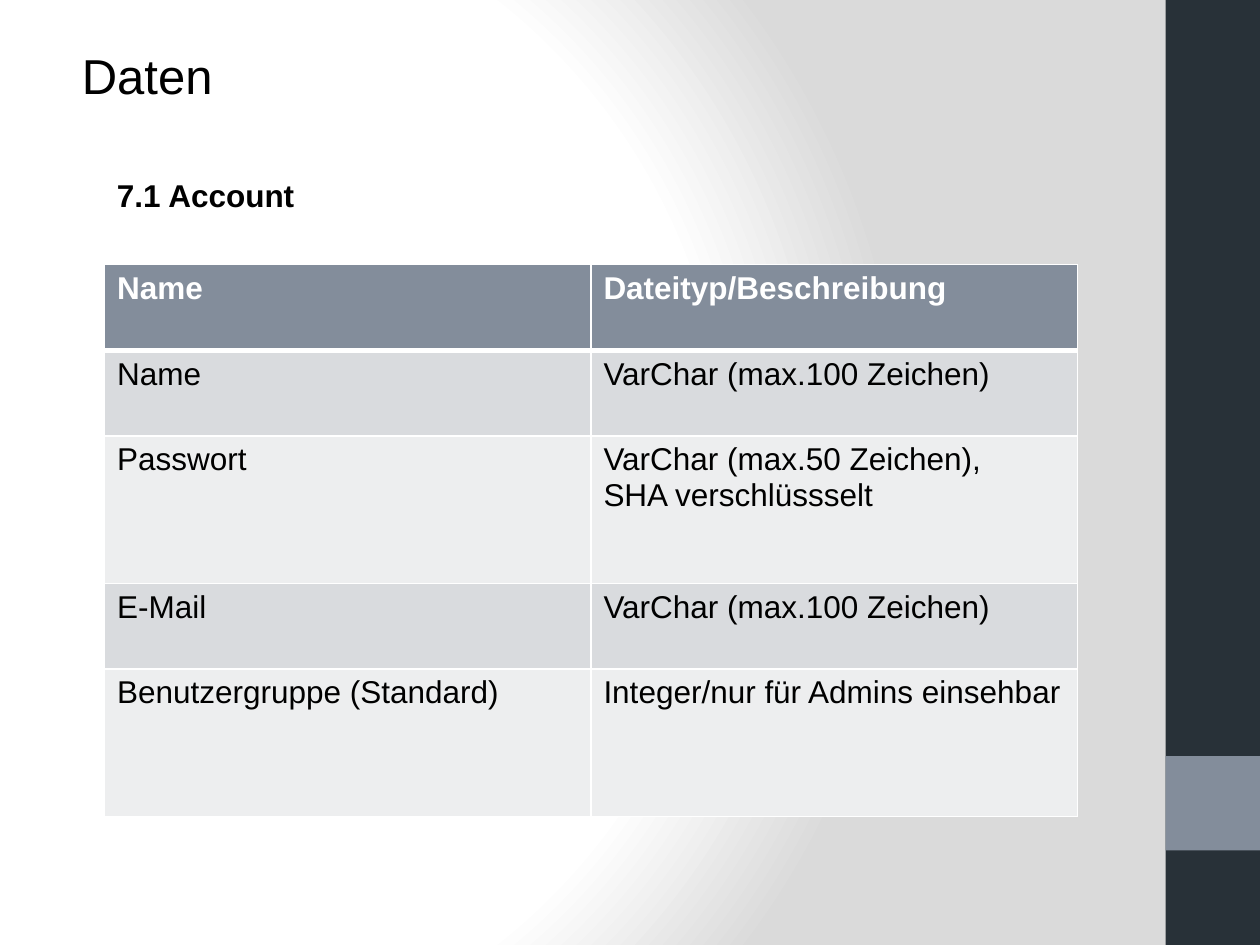
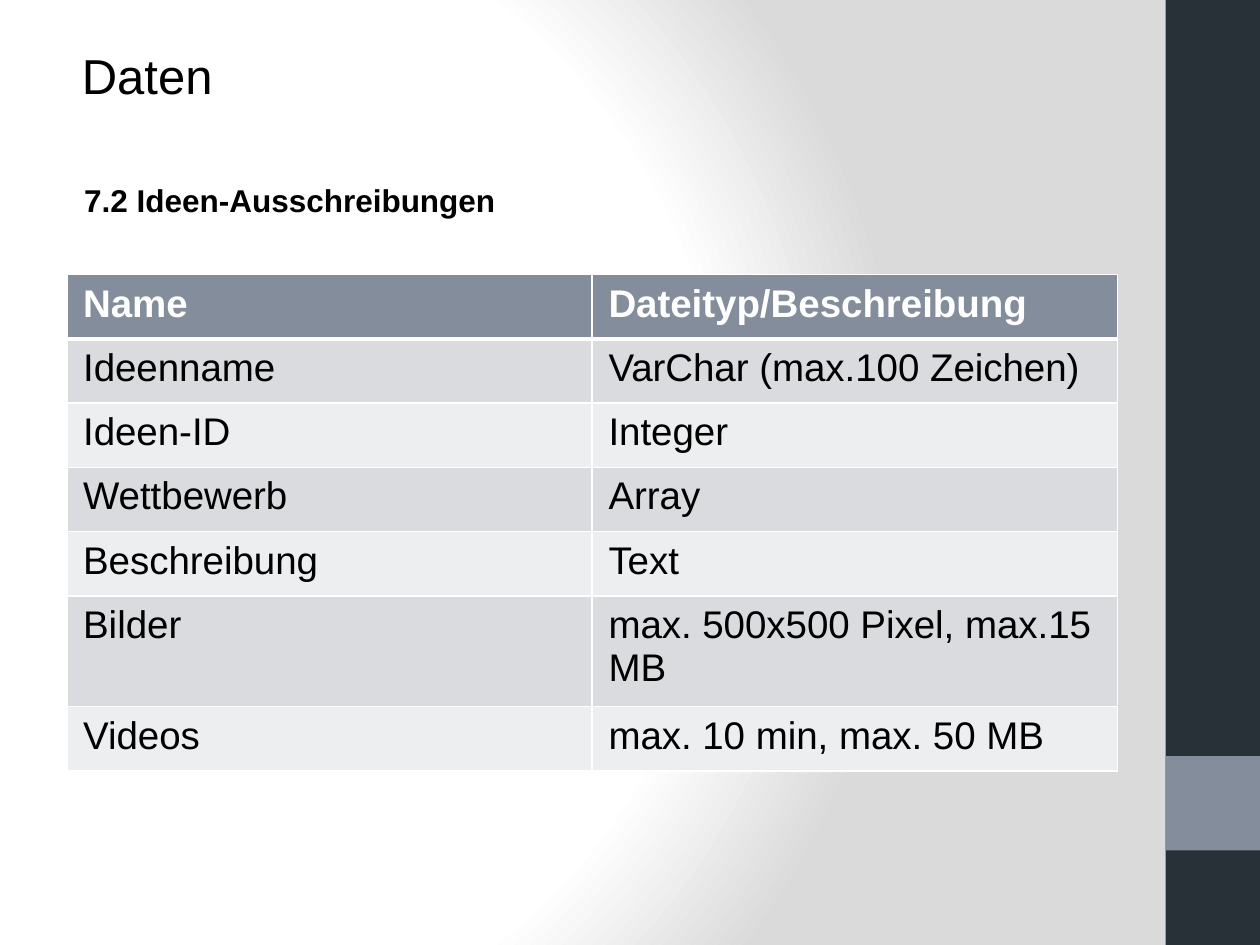
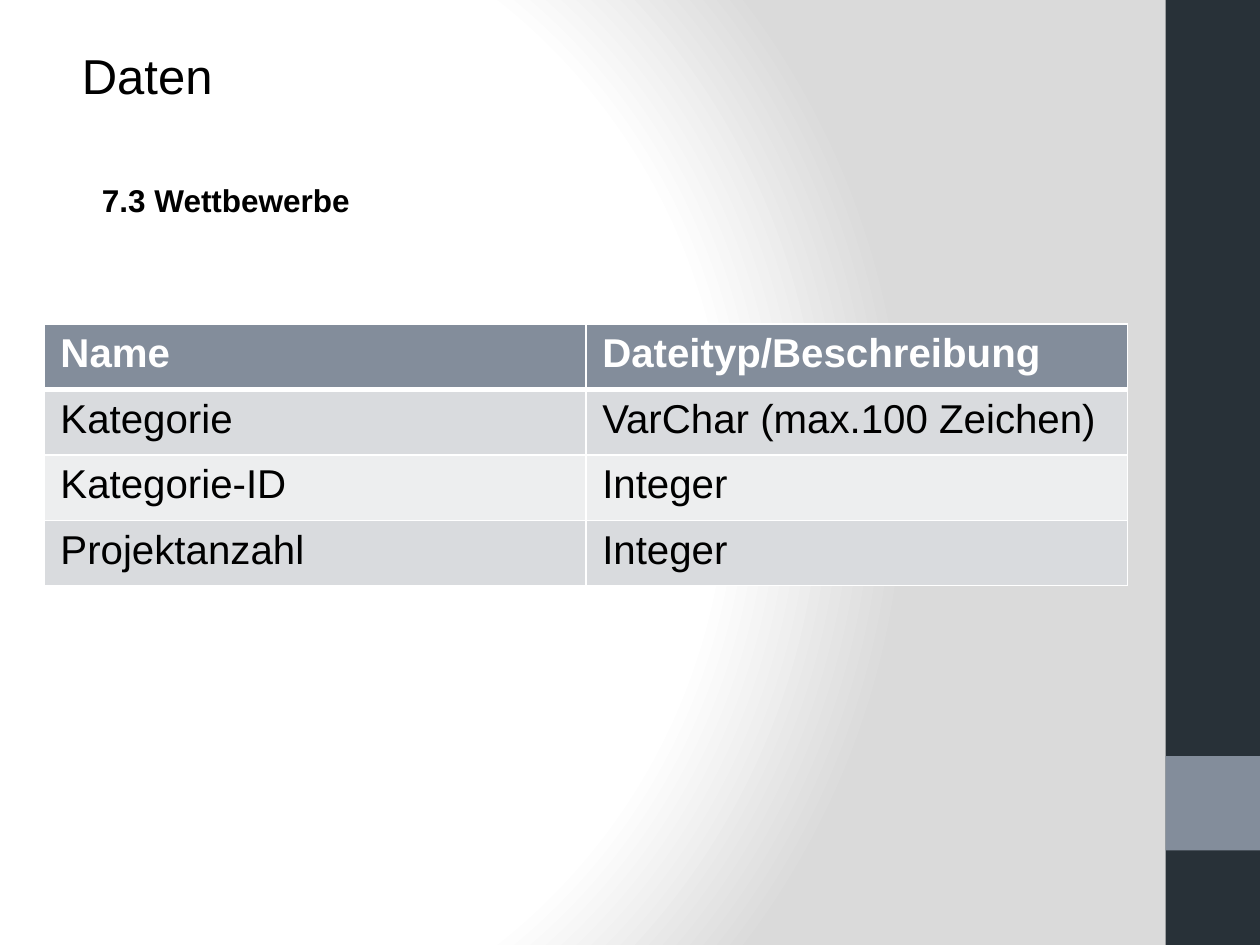
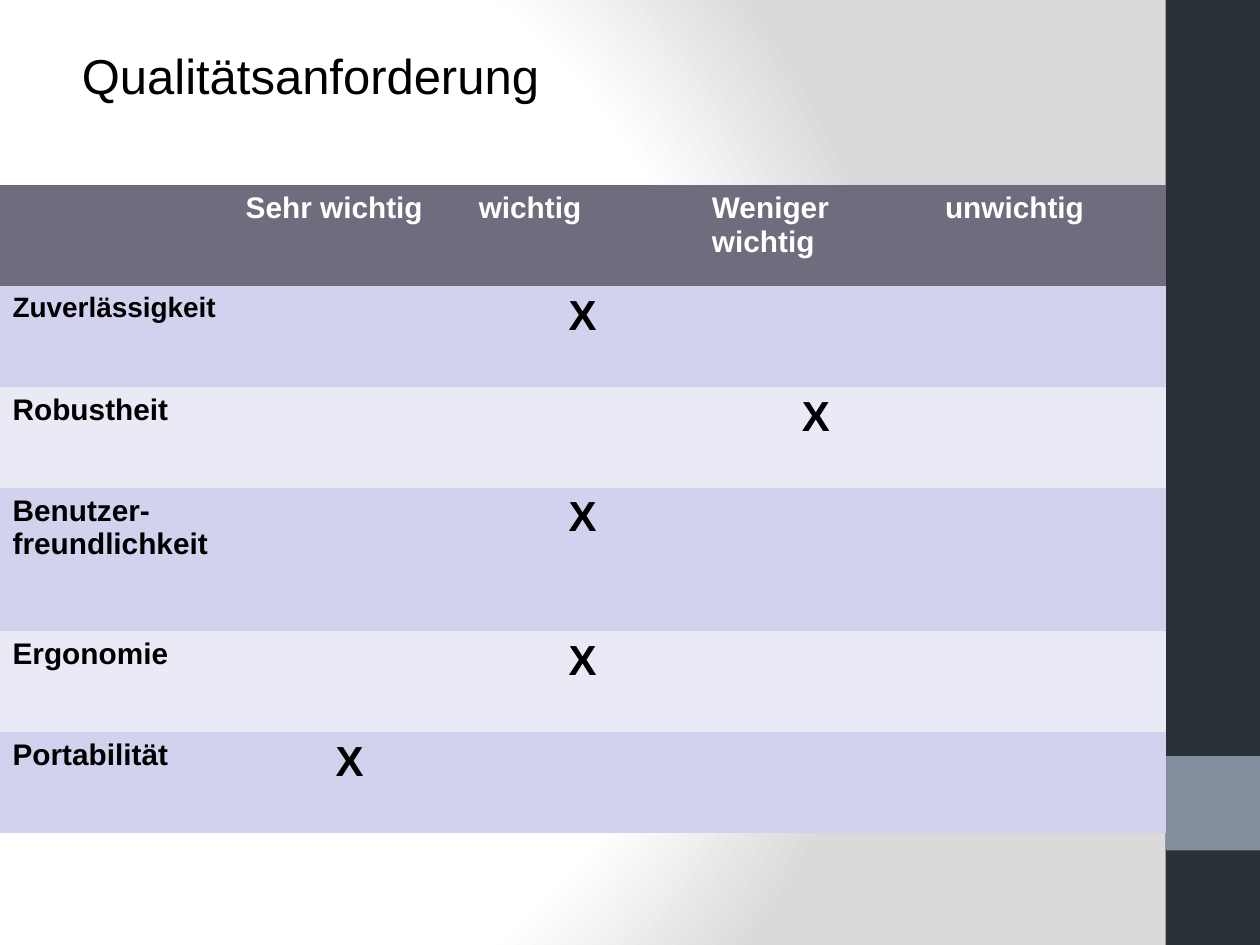
from pptx import Presentation
from pptx.dml.color import RGBColor
from pptx.enum.shapes import MSO_SHAPE
from pptx.enum.text import MSO_ANCHOR, MSO_AUTO_SIZE, PP_ALIGN
from pptx.oxml import parse_xml
from pptx.oxml.ns import nsdecls, qn
from pptx.util import Inches, Pt

LEFT, CENTER = PP_ALIGN.LEFT, PP_ALIGN.CENTER
TOP = MSO_ANCHOR.TOP
GROW = MSO_AUTO_SIZE.SHAPE_TO_FIT_TEXT
RECT = MSO_SHAPE.RECTANGLE

WHITE = RGBColor(0xFF, 0xFF, 0xFF)
BLACK = RGBColor(0x00, 0x00, 0x00)
MIST = RGBColor(0xDA, 0xDA, 0xDA)
NAVY = RGBColor(0x28, 0x31, 0x38)
SLATE = RGBColor(0x83, 0x8D, 0x9B)
PLUM = RGBColor(0x6F, 0x6C, 0x7D)
GREY_BANDS = RGBColor(0xD9, 0xDB, 0xDE), RGBColor(0xED, 0xEE, 0xEF)
LILAC_BANDS = RGBColor(0xD2, 0xD2, 0xEE), RGBColor(0xEA, 0xEA, 0xF7)

FONT = "Arial"
NO_GRID_STYLE = "{2D5ABB26-0587-4C30-8999-92F81FD0307C}"
NARROW, WIDE = (0.1, 0.05), (0.13, 0.06)
HEADER = ["Name", "Dateityp/Beschreibung"]
RATINGS = ["Sehr wichtig", "wichtig", "Weniger wichtig", "unwichtig"]
QUALITIES = [("Zuverlässigkeit", "wichtig"), ("Robustheit", "Weniger wichtig"),
             ("Benutzer-\nfreundlichkeit", "wichtig"), ("Ergonomie", "wichtig"),
             ("Portabilität", "Sehr wichtig")]

# heading: text, left, top, width; table: left, top, column width, row heights
PAGES = [
    dict(title="Daten", title_width=1.25, heading=("7.1 Account", 0.83, 1.35, 1.62),
         table=(0.83, 2.1, 3.86, [0.68, 0.68, 1.17, 0.68, 1.17]), size=18, margins=NARROW,
         rows=[HEADER,
               ["Name", "VarChar (max.100 Zeichen)"],
               ["Passwort", "VarChar (max.50 Zeichen),\nSHA verschlüssselt"],
               ["E-Mail", "VarChar (max.100 Zeichen)"],
               ["Benutzergruppe (Standard)", "Integer/nur für Admins einsehbar"]]),
    dict(title="Daten", title_width=1.25,
         heading=("7.2 Ideen-Ausschreibungen", 0.57, 1.39, 3.5),
         table=(0.53, 2.18, 4.17, [0.51] * 5 + [0.88, 0.51]), size=22, margins=WIDE,
         rows=[HEADER,
               ["Ideenname", "VarChar (max.100 Zeichen)"],
               ["Ideen-ID", "Integer"],
               ["Wettbewerb", "Array"],
               ["Beschreibung", "Text"],
               ["Bilder", "max. 500x500 Pixel, max.15 MB"],
               ["Videos", "max. 10 min, max. 50 MB"]]),
    dict(title="Daten", title_width=1.25, heading=("7.3 Wettbewerbe", 0.71, 1.39, 2.19),
         table=(0.35, 2.57, 4.3, [0.52] * 4), size=23, margins=WIDE,
         rows=[HEADER,
               ["Kategorie", "VarChar (max.100 Zeichen)"],
               ["Kategorie-ID", "Integer"],
               ["Projektanzahl", "Integer"]]),
    dict(title="Qualitätsanforderung", title_width=3.88, heading=None,
         table=(0, 1.47, 1.85, [0.8, 0.8, 0.8, 1.14, 0.8, 0.8]), size=17, margins=NARROW,
         rows=[[""] + RATINGS] + [[quality] + ["X" if r == rating else "" for r in RATINGS]
                                  for quality, rating in QUALITIES]),
]


def write(tf, text, size=18, color=BLACK, bold=False, align=LEFT):
    """Fill a text frame, one paragraph per line of text."""
    for i, line in enumerate(text.split("\n")):
        p = tf.paragraphs[0] if i == 0 else tf.add_paragraph()
        p.alignment = align
        r = p.add_run()
        r.text = line
        r.font.name, r.font.size = FONT, Pt(size)
        r.font.bold, r.font.color.rgb = bold, color


def add_borders(cell, **widths):
    """Draw white borders; keywords are L, R, T, B in schema order, in points."""
    tcPr = cell._tc.get_or_add_tcPr()
    for i, (side, width) in enumerate(widths.items()):
        tcPr.insert(i, parse_xml(
            f'<a:ln{side} {nsdecls("a")} w="{Pt(width)}"><a:solidFill>'
            f'<a:srgbClr val="{WHITE}"/></a:solidFill></a:ln{side}>'))


prs = Presentation()
prs.slide_width, prs.slide_height = Inches(10), Inches(7.5)
W, H = prs.slide_width, prs.slide_height
title_only = prs.slide_layouts[5]

# Shared background
master = prs.slide_master
cSld = master.element.cSld
for bg in cSld.findall(qn("p:bg")):
    cSld.remove(bg)
stops = "".join(f'<a:gs pos="{pos * 1000}"><a:srgbClr val="{color}"/></a:gs>'
                for pos, color in [(0, WHITE), (75, WHITE), (100, MIST)])
cSld.insert(0, parse_xml(
    f'<p:bg {nsdecls("p", "a")}><p:bgPr><a:gradFill rotWithShape="1"><a:gsLst>{stops}</a:gsLst>'
    '<a:path path="circle"><a:fillToRect l="20000" t="50000" r="100000" b="50000"/></a:path>'
    '</a:gradFill><a:effectLst/></p:bgPr></p:bg>'))

for number, page in enumerate(PAGES):
    s = prs.slides.add_slide(title_only)

    # The side band is drawn once and moved to the master
    if number == 0:
        for top, height, color in [(0, H, NAVY), (0.8 * H, 0.1 * H, SLATE)]:
            sp = s.shapes.add_shape(RECT, int(0.925 * W), int(top), int(0.075 * W), int(height))
            sp.shadow.inherit = False
            sp.fill.solid()
            sp.fill.fore_color.rgb = color
            sp.line.fill.background()
            master.shapes.element.append(sp.element)

    title = s.shapes.title
    title.left, title.top = Inches(0.55), Inches(0.31)
    title.width, title.height = Inches(page["title_width"]), Inches(0.57)
    tf = title.text_frame
    tf.word_wrap, tf.auto_size, tf.vertical_anchor = False, GROW, TOP
    write(tf, page["title"], size=28)

    if page["heading"]:
        text, left, top, width = page["heading"]
        box = s.shapes.add_textbox(Inches(left), Inches(top), Inches(width), Inches(0.4))
        box.text_frame.word_wrap, box.text_frame.auto_size = False, GROW
        write(box.text_frame, text, bold=True)

    is_matrix = page["heading"] is None
    head_color, bands = (PLUM, LILAC_BANDS) if is_matrix else (SLATE, GREY_BANDS)
    rows = page["rows"]
    left, top, col_width, heights = page["table"]
    table = s.shapes.add_table(
        len(rows), len(rows[0]), Inches(left), Inches(top),
        Inches(col_width * len(rows[0])), Inches(sum(heights))).table
    table.horz_banding = False
    table._tbl.tblPr.find(qn("a:tableStyleId")).text = NO_GRID_STYLE
    for col in table.columns:
        col.width = Inches(col_width)
    for i, (row, height) in enumerate(zip(rows, heights)):
        table.rows[i].height = Inches(height)
        for j, text in enumerate(row):
            cell = table.cell(i, j)
            side, edge = page["margins"]
            cell.margin_left = cell.margin_right = Inches(side)
            cell.margin_top = cell.margin_bottom = Inches(edge)
            cell.fill.solid()
            cell.fill.fore_color.rgb = bands[(i - 1) % 2] if i else head_color
            if not is_matrix:
                add_borders(cell, L=1, R=1, T=3 if i == 1 else 1, B=1 if i else 3)
            if text:
                size = {"X": 24, "Zuverlässigkeit": 16}.get(text, page["size"])
                write(cell.text_frame, text, size=size, color=BLACK if i else WHITE,
                      bold=is_matrix or i == 0, align=CENTER if text == "X" else LEFT)

prs.save("out.pptx")
